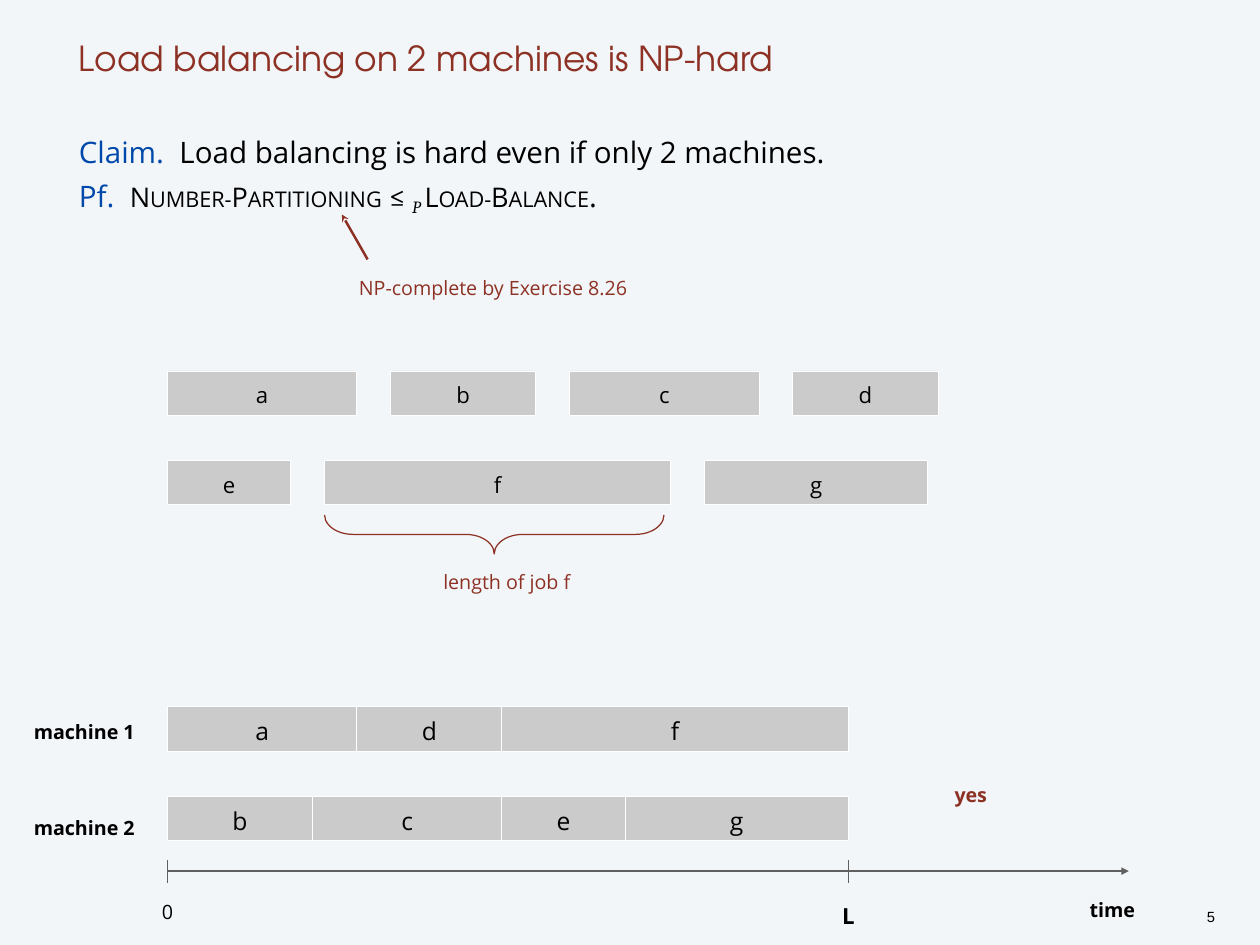
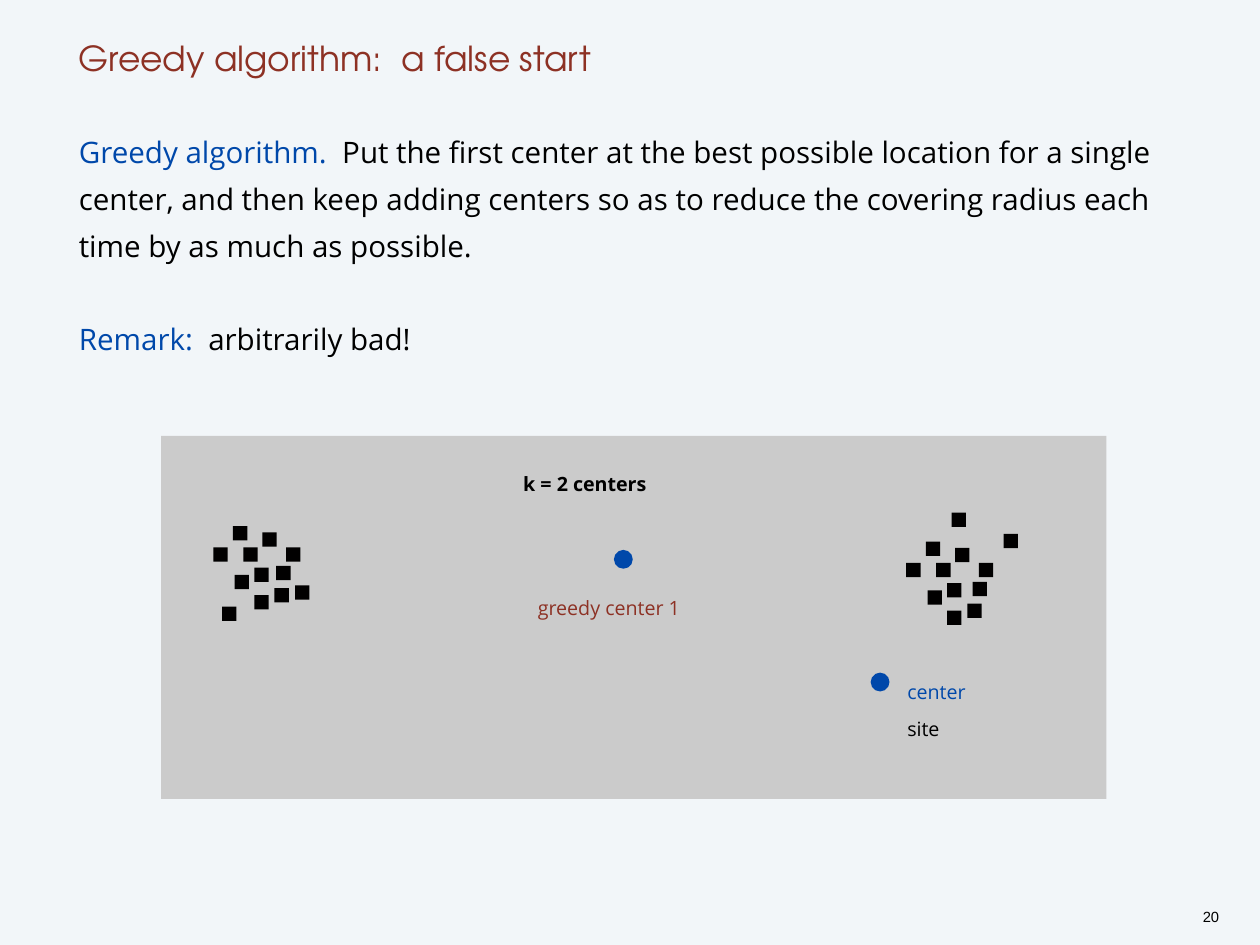
"""Build two lecture slides on load balancing and greedy center selection."""
from lxml.etree import SubElement
from pptx import Presentation
from pptx.dml.color import RGBColor
from pptx.enum.shapes import MSO_CONNECTOR, MSO_SHAPE
from pptx.enum.text import MSO_ANCHOR, PP_ALIGN
from pptx.oxml.ns import qn
from pptx.util import Cm, Pt

COLORS = {
    "back": "F2F6F9",
    "red": "8D3124",
    "blue": "0048AA",
    "black": "000000",
    "gray": "CBCBCB",
    "axis": "606060",
    "white": "FFFFFF",
    "site": "010000",
}
BODY_FONT = "Open Sans"
TITLE_FONT = "TeX Gyre Adventor"
MARGIN = 2.26
CONTENT_W = 31.6
LINE_PITCH = Pt(38)

JOBS = {"a": 5.43, "b": 4.16, "c": 5.43, "d": 4.16, "e": 3.53, "f": 9.93, "g": 6.4}
JOB_LEFT = 4.8
JOB_GAP = 0.97
JOB_H = 1.27

CLUSTER = [(0.56, 0), (0.86, 0.61), (1.17, 1.19), (1.4, 0.18), (1.17, 1.98),
           (0, 0.61), (0.61, 1.4), (1.75, 1.78), (2.08, 0.61)]
LEFT_EXTRA = [(1.8, 1.14), (2.34, 1.7), (0.25, 2.31)]
RIGHT_EXTRA = [(1.3, -0.83), (1.9, 1.16), (2.79, -0.22)]


def rgb(name):
    return RGBColor.from_string(COLORS[name])


def add_run(p, text, size=24, color="black", font=BODY_FONT, bold=False,
            italic=False, small=False, baseline=0):
    r = p.add_run()
    r.text = text
    r.font.size = Pt(size)
    r.font.name = font
    r.font.bold = bold
    r.font.italic = italic
    r.font.color.rgb = rgb(color)
    rPr = r.font._element
    if small:
        rPr.set("cap", "small")
    if baseline:
        rPr.set("baseline", str(baseline * 1000))


def set_frame(tf, anchor=MSO_ANCHOR.TOP, bottom=0):
    tf.word_wrap = True
    tf.vertical_anchor = anchor
    tf.margin_left = tf.margin_right = tf.margin_top = 0
    tf.margin_bottom = Cm(bottom)


def add_text(s, paragraphs, x, y, w, h, spacing=1.3, align=PP_ALIGN.LEFT,
             anchor=MSO_ANCHOR.TOP, gap=0):
    tf = s.shapes.add_textbox(Cm(x), Cm(y), Cm(w), Cm(h)).text_frame
    set_frame(tf, anchor)
    for i, runs in enumerate(paragraphs):
        p = tf.add_paragraph() if i else tf.paragraphs[0]
        p.alignment = align
        p.line_spacing = spacing
        p.space_before = Pt(gap if i else 0)
        for text, fmt in runs:
            add_run(p, text, **fmt)


def add_label(s, text, x, y, w, size=16, align=PP_ALIGN.LEFT, **fmt):
    add_text(s, [[(text, dict(fmt, size=size))]], x, y, w, 0.6, align=align)


def add_centered(s, text, cx, y, w=5, **fmt):
    add_label(s, text, cx - w / 2, y, w, align=PP_ALIGN.CENTER, **fmt)


def add_box(s, x, y, w, h, fill="gray", kind=MSO_SHAPE.RECTANGLE, line=None):
    sp = s.shapes.add_shape(kind, Cm(x), Cm(y), Cm(w), Cm(h))
    sp.shadow.inherit = False
    if fill:
        sp.fill.solid()
        sp.fill.fore_color.rgb = rgb(fill)
    else:
        sp.fill.background()
    if line:
        color, width = line
        sp.line.color.rgb = rgb(color)
        sp.line.width = Pt(width)
    else:
        sp.line.fill.background()
    return sp


def add_line(s, x1, y1, x2, y2, color, width, head=None):
    cn = s.shapes.add_connector(MSO_CONNECTOR.STRAIGHT, Cm(x1), Cm(y1), Cm(x2), Cm(y2))
    cn.line.color.rgb = rgb(color)
    cn.line.width = Pt(width)
    spPr = cn._element.spPr
    if head:
        SubElement(spPr.find(qn("a:ln")), qn("a:tailEnd"), type=head)
    SubElement(spPr, qn("a:effectLst"))


def add_jobs(s, names, y, size, gap=0):
    x = JOB_LEFT
    for name in names:
        sp = add_box(s, x, y, JOBS[name], JOB_H, line=("white", 0.75))
        set_frame(sp.text_frame, MSO_ANCHOR.MIDDLE, 0.13)
        p = sp.text_frame.paragraphs[0]
        p.alignment = PP_ALIGN.CENTER
        p.line_spacing = 1.3
        add_run(p, name, size=size)
        x += JOBS[name] + gap


def add_center(s, x, y):
    add_box(s, x, y, 0.54, 0.54, "blue", MSO_SHAPE.OVAL)


def add_sites(s, x, y, offsets):
    for dx, dy in offsets:
        add_box(s, x + dx, y + dy, 0.41, 0.41, "site")


def add_slide(prs, title, body, number, gap=0):
    s = prs.slides.add_slide(prs.slide_layouts[6])
    s.background.fill.solid()
    s.background.fill.fore_color.rgb = rgb("back")
    heading = [[(title, dict(size=28, color="red", font=TITLE_FONT))]]
    add_text(s, heading, MARGIN, 0, CONTENT_W, 2.26, LINE_PITCH, anchor=MSO_ANCHOR.BOTTOM)
    add_text(s, body, MARGIN, 3.53, CONTENT_W, 22.7, LINE_PITCH, gap=gap)
    add_text(s, [[(number, dict(size=12, font="Arial"))]], 34, 26.06, 1.43, 0.5,
             Pt(14), PP_ALIGN.CENTER)
    return s


def build_load_balancing(prs):
    caps = dict(size=22, small=True)
    s = add_slide(prs, "Load balancing on 2 machines is NP-hard", [
        [("Claim.  ", dict(color="blue")),
         ("Load balancing is hard even if only 2 machines.", {})],
        [("Pf.  ", dict(color="blue")), ("Number-Partitioning", caps), (" ", {}),
         ("≤ ", dict(font="Cambria")),
         ("P ", dict(font="Cambria", italic=True, baseline=-20)),
         ("Load-Balance", caps), (".", {})],
    ], "5")
    add_line(s, 10.54, 7.44, 9.8, 6.15, "red", 2, "stealth")
    add_label(s, "NP-complete by Exercise 8.26", 10.29, 7.7, 9, color="red")

    add_jobs(s, "abcd", 10.64, 18, JOB_GAP)
    add_jobs(s, "efg", 13.21, 18, JOB_GAP)
    brace = add_box(s, 13.61, 10.46, 1.12, 9.73, None, MSO_SHAPE.LEFT_BRACE, ("red", 1))
    brace.adjustments[0] = 0.73
    brace.rotation = 270
    add_centered(s, "length of job f", 14.53, 16.15, 8.4, color="red")

    for name, jobs, y, label_y in (("machine 1", "adf", 20.27, 20.45),
                                   ("machine 2", "bceg", 22.83, 23.19)):
        add_jobs(s, jobs, y, 20)
        add_label(s, name, 0.97, label_y, 3.5, bold=True)
    add_centered(s, "yes", 27.83, 22.25, bold=True, color="red")

    end = JOB_LEFT + sum(JOBS[name] for name in "adf")
    add_line(s, JOB_LEFT, 24.98, 32.36, 24.98, "axis", 2, "triangle")
    for x in (JOB_LEFT, end):
        add_line(s, x, 24.67, x, 25.31, "axis", 1.25)
    add_centered(s, "0", JOB_LEFT, 25.6, 2)
    add_centered(s, "L", end, 25.65, 2, size=18, bold=True)
    add_centered(s, "time", 31.89, 25.55, bold=True)


def build_greedy(prs):
    s = add_slide(prs, "Greedy algorithm:  a false start", [
        [("Greedy algorithm.  ", dict(color="blue")),
         ("Put the first center at the best possible location for a single center, "
          "and then keep adding centers so as to reduce the covering radius each "
          "time by as much as possible.", {})],
        [("Remark:  ", dict(color="blue")), ("arbitrarily bad!", {})],
    ], "20", gap=38)
    add_box(s, 4.62, 12.5, 27.1, 10.41)
    add_label(s, "k = 2 centers", 15, 13.34, 5, bold=True)
    add_center(s, 17.6, 15.77)
    add_label(s, "greedy center 1", 15.42, 16.89, 5, color="red")
    add_sites(s, 6.12, 15.09, CLUSTER + LEFT_EXTRA)
    add_sites(s, 25.98, 15.53, CLUSTER + RIGHT_EXTRA)
    add_center(s, 24.96, 19.29)
    add_label(s, "center", 26.01, 19.3, 3, color="blue")
    add_label(s, "site", 26.01, 20.35, 3)


def main():
    prs = Presentation()
    prs.slide_width = Cm(36.12)
    prs.slide_height = Cm(27.1)
    build_load_balancing(prs)
    build_greedy(prs)
    prs.save("out.pptx")


if __name__ == "__main__":
    main()
